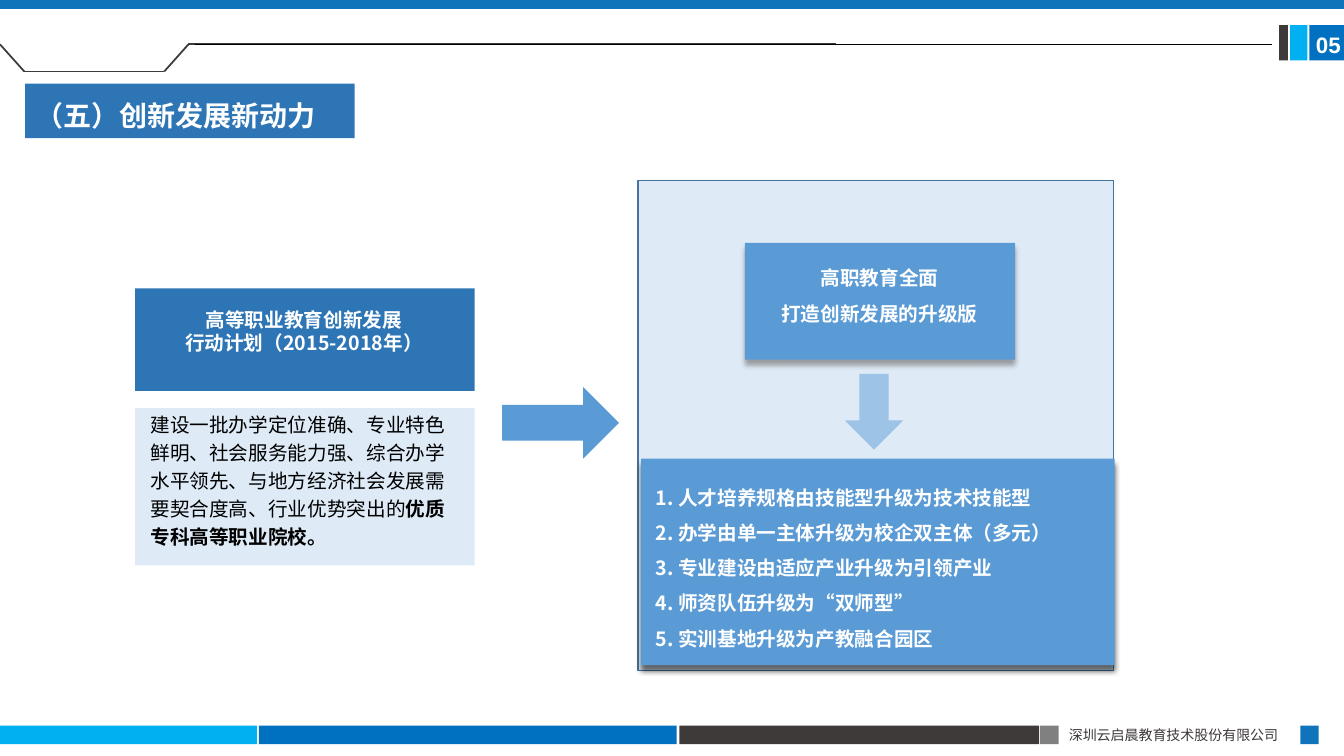
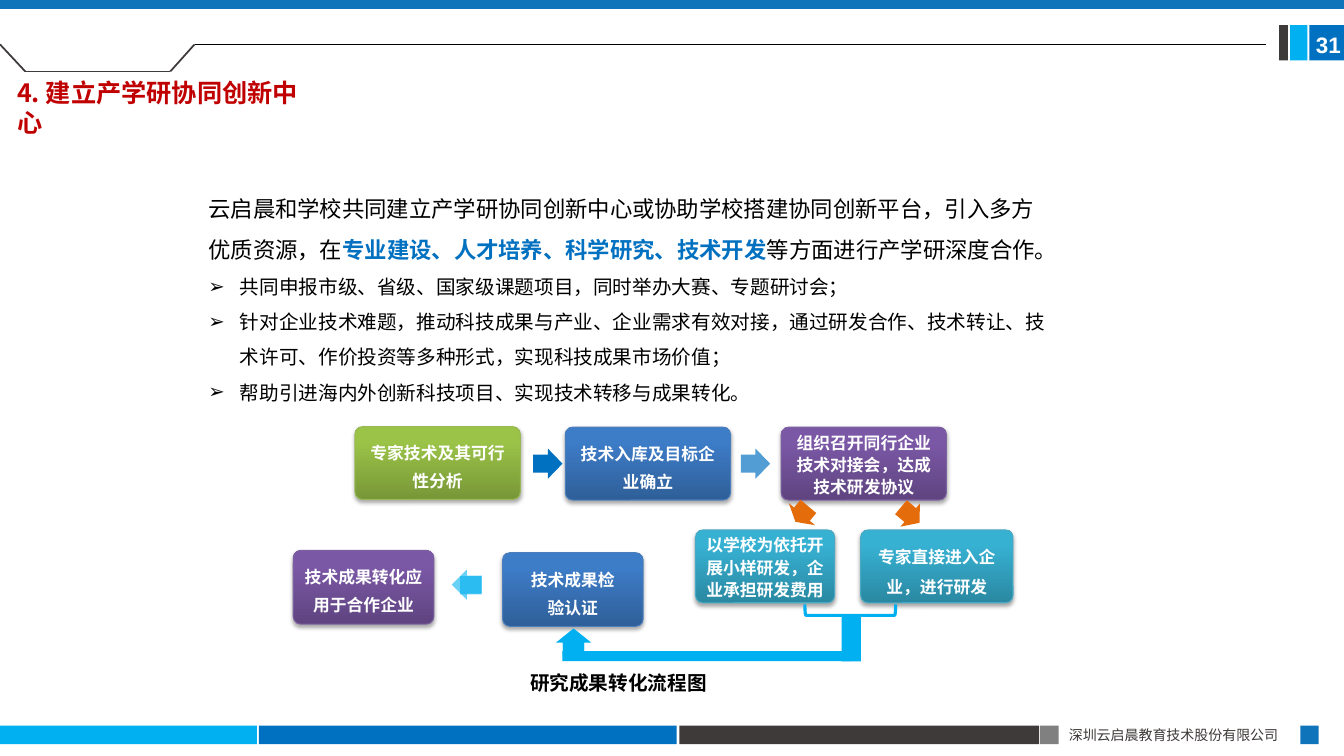
from itertools import pairwise

from lxml.etree import SubElement
from pptx import Presentation
from pptx.dml.color import RGBColor
from pptx.enum.shapes import MSO_CONNECTOR, MSO_SHAPE as SHAPE
from pptx.enum.text import MSO_ANCHOR as ANCHOR, PP_ALIGN as ALIGN
from pptx.oxml.ns import qn
from pptx.util import Pt

CJK = "Noto Sans CJK SC"
WHITE = RGBColor(0xFF, 0xFF, 0xFF)
BLACK = RGBColor(0, 0, 0)
INK = RGBColor(0x3E, 0x3A, 0x39)
GRAY = RGBColor(0x80, 0x80, 0x80)
CYAN = RGBColor(0x00, 0xB0, 0xF0)
BLUE = RGBColor(0x00, 0x70, 0xC0)
BAND = RGBColor(0x10, 0x74, 0xBB)
DEEP = RGBColor(0x2E, 0x75, 0xB6)
MID = RGBColor(0x5B, 0x9B, 0xD5)
SOFT = RGBColor(0x9D, 0xC3, 0xE6)
PALE = RGBColor(0xDE, 0xEB, 0xF7)
EDGE = RGBColor(0x43, 0x73, 0x9E)
RED = RGBColor(0xC0, 0x00, 0x00)
ORANGE = RGBColor(0xE4, 0x6C, 0x0A)

GREEN_STEP = (RGBColor(0x77, 0x97, 0x37), RGBColor(0x9B, 0xC3, 0x48), RGBColor(0x98, 0xB9, 0x55))
BLUE_STEP = (RGBColor(0x2F, 0x5F, 0x99), RGBColor(0x3D, 0x7C, 0xC7), RGBColor(0x4B, 0x7E, 0xBC))
PURPLE_STEP = (RGBColor(0x5F, 0x44, 0x80), RGBColor(0x7B, 0x58, 0xA6), RGBColor(0x7D, 0x60, 0xA0))
TEAL_STEP = (RGBColor(0x2A, 0x88, 0xA2), RGBColor(0x37, 0xB1, 0xD2), RGBColor(0x46, 0xAA, 0xC5))

FOOTER = "深圳云启晨教育技术股份有限公司"
BARS = [
    ((0, 518.4, 183.6, 13.2), CYAN),
    ((185, 518.4, 298.4, 13.2), BLUE),
    ((485.3, 518.4, 257, 13.2), INK),
    ((743, 518.4, 13.2, 13.2), GRAY),
    ((928.8, 518.4, 13.2, 13.2), BAND),
    ((935.2, 18, 24.8, 25.2), BLUE),
    ((921.6, 18, 12.3, 25.2), CYAN),
    ((913.7, 18, 6.2, 25.2), INK),
    ((0, 0, 960, 6.4), BAND),
]

PLAN_TITLE = ["高等职业教育创新发展", "行动计划（2015-2018年）"]
PLAN_GOAL = [[
    ("建设一批办学定位准确、专业特色鲜明、社会服务能力强、综合办学水平领先、"
     "与地方经济社会发展需要契合度高、行业优势突出的", None),
    ("优质专科高等职业院校。", BLACK),
]]
UPGRADE_TITLE = ["高职教育全面", "打造创新发展的升级版"]
UPGRADES = [
    "1. 人才培养规格由技能型升级为技术技能型",
    "2. 办学由单一主体升级为校企双主体（多元）",
    "3. 专业建设由适应产业升级为引领产业",
    "4. 师资队伍升级为“双师型”",
    "5. 实训基地升级为产教融合园区",
]

CENTER_INTRO = [
    ("云启晨和学校共同建立产学研协同创新中心或协助学校搭建协同创新平台，引入多方优质资源，在", None),
    ("专业建设、人才培养、科学研究、技术开发", BLUE),
    ("等方面进行产学研深度合作。", None),
]
CENTER_POINTS = [
    "共同申报市级、省级、国家级课题项目，同时举办大赛、专题研讨会；",
    "针对企业技术难题，推动科技成果与产业、企业需求有效对接，通过研发合作、技术转让、"
    "技术许可、作价投资等多种形式，实现科技成果市场价值；",
    "帮助引进海内外创新科技项目、实现技术转移与成果转化。",
]
STEPS = [
    ("专家技术及其可行性分析", (253.6, 304.8, 118.1, 52), GREEN_STEP, 20, 6.5),
    ("技术入库及目标企业确立", (403.8, 305.2, 118.1, 52), BLUE_STEP, 20, 6.5),
    ("组织召开同行企业技术对接会，达成技术研发协议", (558, 305.2, 118.1, 52), PURPLE_STEP, 16, 5.8),
    ("以学校为依托开展小样研发，企业承担研发费用", (496.8, 378.6, 99.4, 52), TEAL_STEP, 16, 5.8),
    ("专家直接进入企业，进行研发", (614.8, 378.6, 108.8, 52), TEAL_STEP, 22, 7.2),
    ("技术成果检验认证", (359, 394.8, 100.4, 52.6), BLUE_STEP, 20, 16),
    ("技术成果转化应用于合作企业", (209.5, 393.2, 100.4, 52.6), PURPLE_STEP, 20, 4),
]
STEP_ARROWS = [
    ((380.9, 320.4, 20.9, 21.6), 0, BLUE, 100),
    ((529.2, 320.4, 20.9, 21.6), 0, BLUE, 68),
    ((565.6, 355, 14.4, 24.5), 130, ORANGE, 100),
    ((641.5, 357.1, 17.3, 21.6), 40, ORANGE, 100),
    ((322.6, 406.8, 21.6, 21.6), 180, CYAN, 59),
    ((399.6, 446.4, 20.2, 25.2), 270, CYAN, 100),
]
FLOW_BARS = [
    ((328.7, 411.5, 15.1, 13), 59),
    ((402.1, 454.7, 15.1, 14.4), 100),
    ((601.2, 440, 13.7, 32.4), 100),
    ((401.8, 465.1, 205.9, 7.2), 100),
]


def add_block(page, place, fill=None, kind=SHAPE.RECTANGLE, line=None, weight=1, alpha=100, turn=0):
    block = page.shapes.add_shape(kind, *map(Pt, place))
    block.shadow.inherit = False
    block.rotation = turn
    if fill is None:
        block.fill.background()
    else:
        block.fill.solid()
        block.fill.fore_color.rgb = fill
    if alpha < 100:
        color = block._element.spPr.find(qn("a:solidFill"))[0]
        SubElement(color, qn("a:alpha"), val=str(alpha * 1000))
    if line is None:
        block.line.fill.background()
    else:
        block.line.color.rgb = line
        block.line.width = Pt(weight)
    return block


def add_shadow(block, color, alpha, blur, distance):
    effects = block._element.spPr.find(qn("a:effectLst"))
    outer = SubElement(effects, qn("a:outerShdw"), blurRad=str(Pt(blur)), dist=str(Pt(distance)),
                       dir="5400000", algn="t", rotWithShape="0")
    shade = SubElement(outer, qn("a:srgbClr"), val=str(color))
    SubElement(shade, qn("a:alpha"), val=str(alpha * 1000))


def add_line(page, start, end, color, weight):
    line = page.shapes.add_connector(MSO_CONNECTOR.STRAIGHT, *map(Pt, (*start, *end)))
    line.line.color.rgb = color
    line.line.width = Pt(weight)
    SubElement(line._element.spPr, qn("a:effectLst"))


def style(para, size, color, bold=False, spacing=None, align=ALIGN.LEFT, name=CJK):
    para.alignment = align
    if spacing:
        para.line_spacing = Pt(spacing)
    font = para.font
    font.size, font.bold, font.name = Pt(size), bold, name
    font.color.rgb = color
    SubElement(para._p.pPr.find(qn("a:defRPr")), qn("a:ea"), typeface=name)


def add_bullet(para):
    props = para._p.get_or_add_pPr()
    props.set("marL", str(Pt(22.5)))
    props.set("indent", str(-Pt(22.5)))
    SubElement(props, qn("a:buFont"), typeface="Arial")
    SubElement(props, qn("a:buChar"), char="➢")


def write(box, paragraphs, size, color, anchor=ANCHOR.TOP, insets=(7.2, 3.6), **look):
    frame = box.text_frame
    frame.word_wrap = True
    frame.vertical_anchor = anchor
    frame.margin_left = frame.margin_right = Pt(insets[0])
    frame.margin_top = frame.margin_bottom = Pt(insets[1])
    for index, content in enumerate(paragraphs):
        para = frame.add_paragraph() if index else frame.paragraphs[0]
        spans = [(content, None)] if isinstance(content, str) else content
        for text, accent in spans:
            span = para.add_run()
            span.text = text
            if accent is not None:
                span.font.bold = True
                span.font.color.rgb = accent
        style(para, size, color, **look)
    return frame


def add_text(page, place, paragraphs, size, color, **look):
    box = page.shapes.add_textbox(*map(Pt, place))
    return write(box, paragraphs, size, color, **look)


def add_page(deck, number, outline, rule_end):
    page = deck.slides.add_slide(deck.slide_layouts[6])
    for place, color in BARS:
        add_block(page, place, color)
    add_text(page, (756.4, 514.8, 172.8, 19.4), [FOOTER], 10, INK, spacing=12.5)
    add_text(page, (940, 18.7, 20, 26.6), [number], 16, WHITE, insets=(0, 3.6), bold=True, name="Arial")
    for start, end in pairwise(outline):
        add_line(page, start, end, INK, 1.25)
    add_line(page, (139, 31.7), (rule_end, 31.7), BLACK, 0.5)
    return page


def build_upgrade_page(deck):
    outline = [(0, 31.7), (17.3, 51), (117.4, 51), (134.6, 31.7), (596.9, 31.7)]
    page = add_page(deck, "05", outline, 908.6)
    label = dict(bold=True, align=ALIGN.CENTER)

    add_block(page, (455.8, 128.9, 339.8, 349.9), PALE, line=EDGE)
    upgrades = add_block(page, (457.9, 327.6, 338.4, 147.6), MID)
    add_shadow(upgrades, BLACK, 57, 4, 4)
    write(upgrades, UPGRADES, 14, WHITE, anchor=ANCHOR.MIDDLE, insets=(10.5, 3.6), bold=True, spacing=25.2)

    add_block(page, (96.5, 205.9, 242.6, 73.4), DEEP)
    add_text(page, (100.8, 220.2, 232.6, 53), PLAN_TITLE, 14, WHITE, insets=(11.5, 0), spacing=16.4, **label)
    goal = add_block(page, (96.5, 291.6, 242.6, 112.3), PALE)
    write(goal, PLAN_GOAL, 14, BLACK, insets=(11, 0), spacing=20)

    heading = add_block(page, (532.1, 173.5, 193, 83.5), MID)
    add_shadow(heading, GRAY, 73, 4, 4)
    add_text(page, (540, 178.2, 176.4, 65.5), UPGRADE_TITLE, 14, WHITE, spacing=25.2, **label)
    add_block(page, (358.6, 276.5, 83.5, 51.1), MID, SHAPE.RIGHT_ARROW)
    add_block(page, (603.4, 267.1, 41.8, 54), SOFT, SHAPE.DOWN_ARROW)

    title = add_block(page, (18, 59.8, 235.4, 38.9), DEEP)
    write(title, ["（五）创新发展新动力"], 20, WHITE, bold=True, spacing=31.2)


def add_step(page, text, place, palette, spacing, inset):
    dark, light, edge = palette
    step = add_block(page, place, light, SHAPE.ROUNDED_RECTANGLE, edge, 0.75)
    step.adjustments[0] = 0.1
    step.fill.gradient()
    step.fill.gradient_angle = 90
    for stop, position, color in zip(step.fill.gradient_stops, (0, 0.8), (dark, light)):
        stop.position = position
        stop.color.rgb = color
    add_shadow(step, BLACK, 35, 3.1, 1.8)
    write(step, [text], 12, WHITE, anchor=ANCHOR.MIDDLE, insets=(inset, 3),
          bold=True, spacing=spacing, align=ALIGN.CENTER)


def build_center_page(deck):
    outline = [(0, 31.7), (18, 51), (121.7, 51), (139, 31.7)]
    page = add_page(deck, "31", outline, 904.3)

    frame = add_text(page, (141.8, 125.8, 617, 167), [CENTER_INTRO], 16, BLACK, spacing=29.2)
    for text in CENTER_POINTS:
        para = frame.add_paragraph()
        para.add_run().text = text
        add_bullet(para)
        style(para, 14, BLACK, spacing=25.2)

    for step in STEPS:
        add_step(page, *step)
    for place, turn, color, alpha in STEP_ARROWS:
        arrow = add_block(page, place, color, SHAPE.RIGHT_ARROW, alpha=alpha, turn=turn)
        arrow.adjustments[0], arrow.adjustments[1] = 0.6, 0.5
    for place, alpha in FLOW_BARS:
        add_block(page, place, CYAN, alpha=alpha)
    add_block(page, (603.4, 403.2, 7.9, 64.8), kind=SHAPE.LEFT_BRACKET, line=CYAN, weight=2.25, turn=270)

    add_text(page, (371.5, 474.5, 186.5, 25), ["研究成果转化流程图"], 14, BLACK, bold=True, spacing=18)
    add_text(page, (5.2, 51, 230, 52), ["4. 建立产学研协同创新中心"], 18, RED, bold=True, spacing=22)


def main():
    deck = Presentation()
    deck.slide_width, deck.slide_height = Pt(960), Pt(540)
    build_upgrade_page(deck)
    build_center_page(deck)
    deck.save("out.pptx")


if __name__ == "__main__":
    main()
